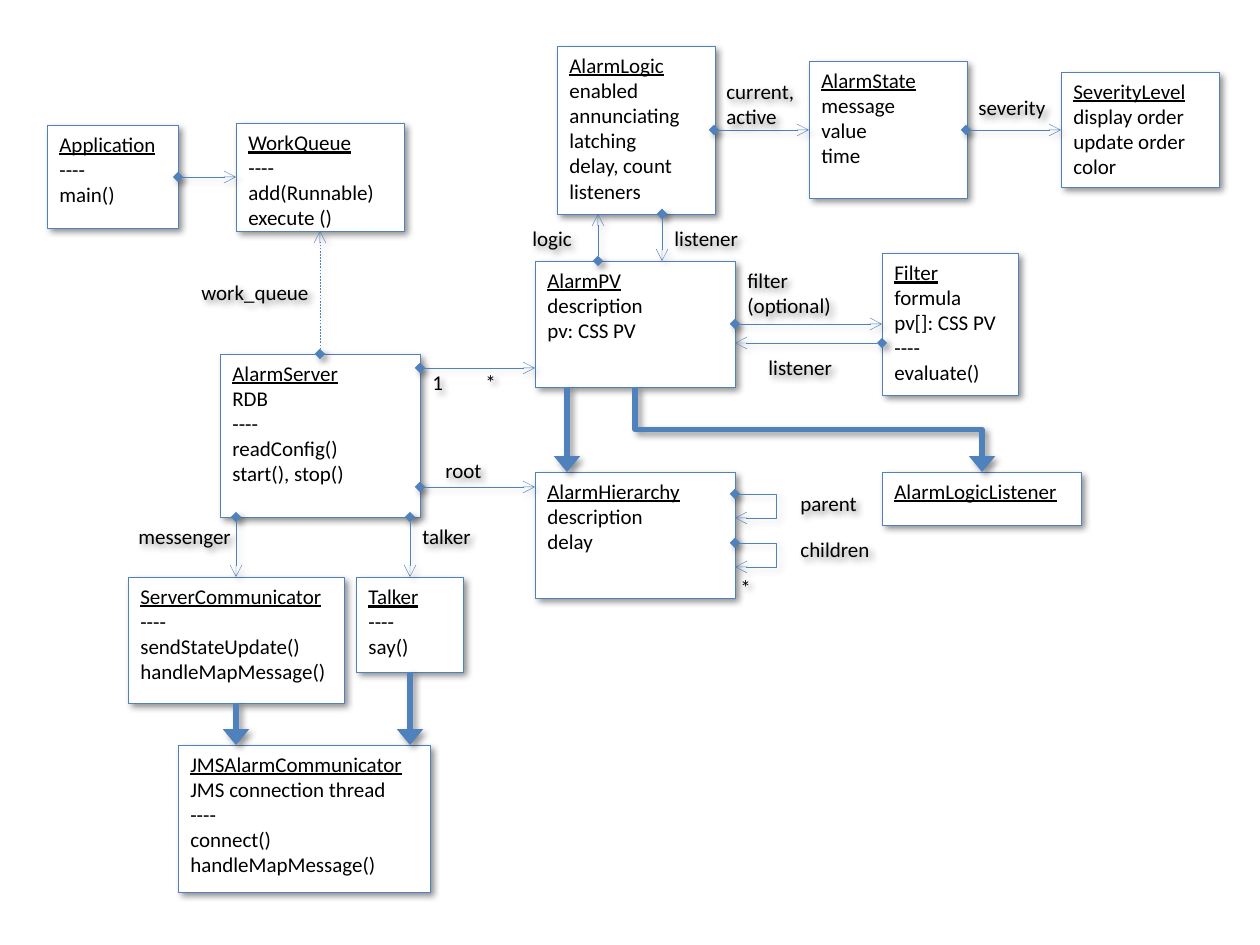
from lxml.etree import SubElement
from pptx import Presentation
from pptx.dml.color import RGBColor
from pptx.enum.dml import MSO_LINE
from pptx.enum.shapes import MSO_CONNECTOR, MSO_SHAPE
from pptx.enum.text import MSO_ANCHOR, PP_ALIGN
from pptx.oxml.ns import qn
from pptx.util import Emu, Pt

BLUE, WHITE, BLACK = "4F81BD", "FFFFFF", "000000"

CLASSES = [
    (1061, 72, 158, 115, ["SeverityLevel", "display order", "update order ", "color"]),
    (809, 61, 158, 137, ["AlarmState", "message", "value", "time"]),
    (557, 46, 158, 168, ["AlarmLogic", "enabled", "annunciating", "latching",
                         "delay, count", "listeners"]),
    (535, 261, 200, 126, ["AlarmPV", "description", "pv: CSS PV"]),
    (882, 253, 136, 142, ["Filter", "formula", "pv[]: CSS PV", "----", "evaluate()"]),
    (220, 354, 200, 163, ["AlarmServer", "RDB", "----", "readConfig()", "start(), stop()"]),
    (128, 577, 216, 126, ["ServerCommunicator", "----", "sendStateUpdate()",
                          "handleMapMessage()"]),
    (356, 577, 107, 95, ["Talker", "----", "say()"]),
    (178, 745, 252, 147, ["JMSAlarmCommunicator", "JMS connection thread", "----",
                          "connect()", "handleMapMessage()"]),
    (236, 123, 168, 108, ["WorkQueue", "----", "add(Runnable)", "execute ()"]),
    (47, 125, 131, 103, ["Application", "----", "main()"]),
    (882, 472, 199, 53, ["AlarmLogicListener"]),
    (535, 472, 200, 126, ["AlarmHierarchy", "description", "delay"]),
]
LABELS = [
    (966, 88, 95, 42, ["severity"]),
    (714, 72, 95, 58, ["current, active"]),
    (735, 261, 116, 63, ["filter", "(optional)"]),
    (189, 273, 145, 47, ["work_queue"]),
    (126, 517, 126, 47, ["messenger"]),
    (410, 517, 79, 47, ["talker"]),
    (756, 348, 95, 47, ["listener"]),
    (520, 219, 78, 42, ["logic"]),
    (662, 219, 95, 42, ["listener"]),
    (420, 363, 95, 37, ["1\t*"]),
    (788, 484, 95, 47, ["parent"]),
    (788, 530, 95, 47, ["children"]),
    (728, 568, 53, 37, ["*"]),
    (433, 451, 79, 40, ["root"]),
]
REFERENCES = [
    (966, 130, 1061, 130), (714, 130, 809, 130), (735, 324, 882, 324),
    (882, 343, 735, 343), (420, 368, 535, 368), (420, 487, 535, 487),
    (236, 517, 236, 577), (410, 517, 410, 577), (178, 177, 236, 177),
    (598, 261, 598, 214), (662, 214, 662, 261),
]
QUEUE_REFERENCE = (320, 354, 320, 231)
INHERITANCE = [(236, 703, 236, 745), (410, 672, 410, 745), (567, 387, 567, 472)]
LISTENER_INHERITANCE = (635, 387, 982, 472)
SELF_REFERENCES = [494, 543]
LOOP_LEFT, LOOP_RIGHT, LOOP_HEIGHT = 735, 766, 24
TAB_STOP = 53


def px(n):
    return Emu(round(n * 914400 / 126))


def rgb(value):
    return RGBColor.from_string(value)


def add_shadow(sp):
    spPr = sp._element.spPr
    effects = spPr.find(qn("a:effectLst"))
    if effects is None:
        effects = SubElement(spPr, qn("a:effectLst"))
    shadow = SubElement(effects, qn("a:outerShdw"), blurRad=str(Pt(4)),
                        dist=str(Pt(3)), dir="2700000", algn="tl", rotWithShape="0")
    color = SubElement(shadow, qn("a:srgbClr"), val=BLACK)
    SubElement(color, qn("a:alpha"), val="43000")


def write(sp, lines):
    tf = sp.text_frame
    tf.word_wrap = True
    tf.vertical_anchor = MSO_ANCHOR.TOP
    tf.text = "\n".join(lines)
    for p in tf.paragraphs:
        p.alignment = PP_ALIGN.LEFT
        for r in p.runs:
            r.font.name = "Calibri"
            r.font.size = Pt(12)
            r.font.color.rgb = rgb(BLACK)
        if "\t" in p.text:
            tabs = SubElement(p._p.get_or_add_pPr(), qn("a:tabLst"))
            SubElement(tabs, qn("a:tab"), pos=str(px(TAB_STOP)), algn="l")


def add_class(x, y, w, h, lines):
    sp = s.shapes.add_shape(MSO_SHAPE.RECTANGLE, *map(px, (x, y, w, h)))
    sp.shadow.inherit = False
    sp.fill.solid()
    sp.fill.fore_color.rgb = rgb(WHITE)
    sp.line.color.rgb = rgb(BLUE)
    sp.line.width = Pt(0.25)
    write(sp, lines)
    sp.text_frame.paragraphs[0].runs[0].font.underline = True
    add_shadow(sp)


def add_label(x, y, w, h, lines):
    sp = s.shapes.add_textbox(*map(px, (x, y, w, h)))
    write(sp, lines)
    add_shadow(sp)


def add_line(ends, head=None, tail=None, width=0.25, tail_width="med", dash=None, bend=None):
    kind = MSO_CONNECTOR.STRAIGHT if bend is None else MSO_CONNECTOR.ELBOW
    c = s.shapes.add_connector(kind, *map(px, ends))
    c.line.color.rgb = rgb(BLUE)
    c.line.width = Pt(width)
    if dash:
        c.line.dash_style = dash
    ln = c.line._get_or_add_ln()
    if head:
        SubElement(ln, qn("a:headEnd"), type=head)
    if tail:
        SubElement(ln, qn("a:tailEnd"), type=tail, w=tail_width, len="med")
    if bend is not None:
        c._element.spPr.prstGeom.get_or_add_avLst()
        SubElement(c._element.spPr.prstGeom.avLst, qn("a:gd"), name="adj1", fmla=f"val {bend}")
    add_shadow(c)
    return c


def add_vertical_elbow(x1, y1, x2, y2, **style):
    w, h = y2 - y1, x2 - x1
    left, top = (x1 + x2 - w) / 2, (y1 + y2 - h) / 2
    c = add_line((left + w, top, left, top + h), bend=50000, **style)
    c._element.spPr.xfrm.set("rot", "16200000")


prs = Presentation()
prs.slide_width, prs.slide_height = px(1260), px(945)
s = prs.slides.add_slide(prs.slide_layouts[6])

for box in CLASSES:
    add_class(*box)
for ends in REFERENCES:
    add_line(ends, head="diamond", tail="arrow")
add_line(QUEUE_REFERENCE, head="diamond", tail="arrow", dash=MSO_LINE.DASH)

thick = dict(tail="triangle", width=3, tail_width="lg")
for ends in INHERITANCE:
    add_line(ends, **thick)
add_vertical_elbow(*LISTENER_INHERITANCE, **thick)

for y in SELF_REFERENCES:
    add_line((LOOP_LEFT, y, LOOP_RIGHT, y), head="diamond")
    add_line((LOOP_RIGHT, y, LOOP_LEFT, y + LOOP_HEIGHT), tail="arrow", bend=-33900)
for label in LABELS:
    add_label(*label)

prs.save("out.pptx")
